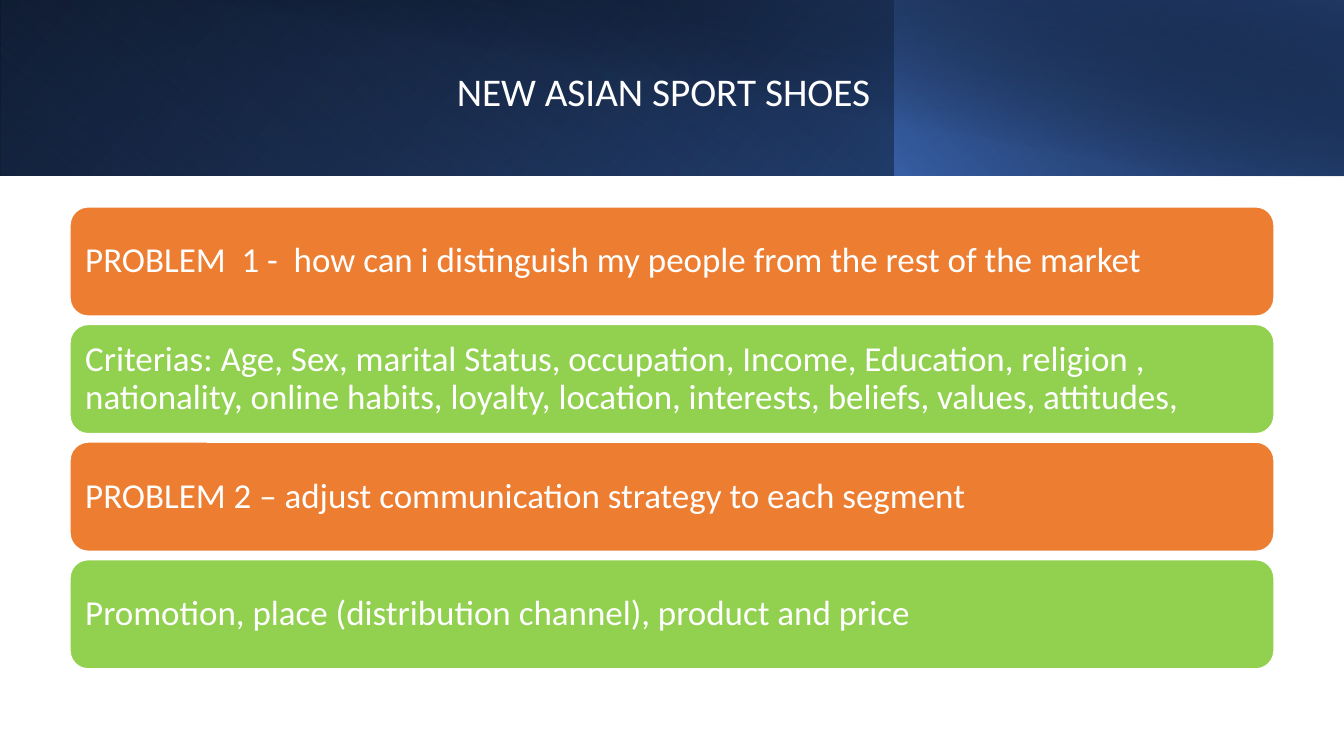
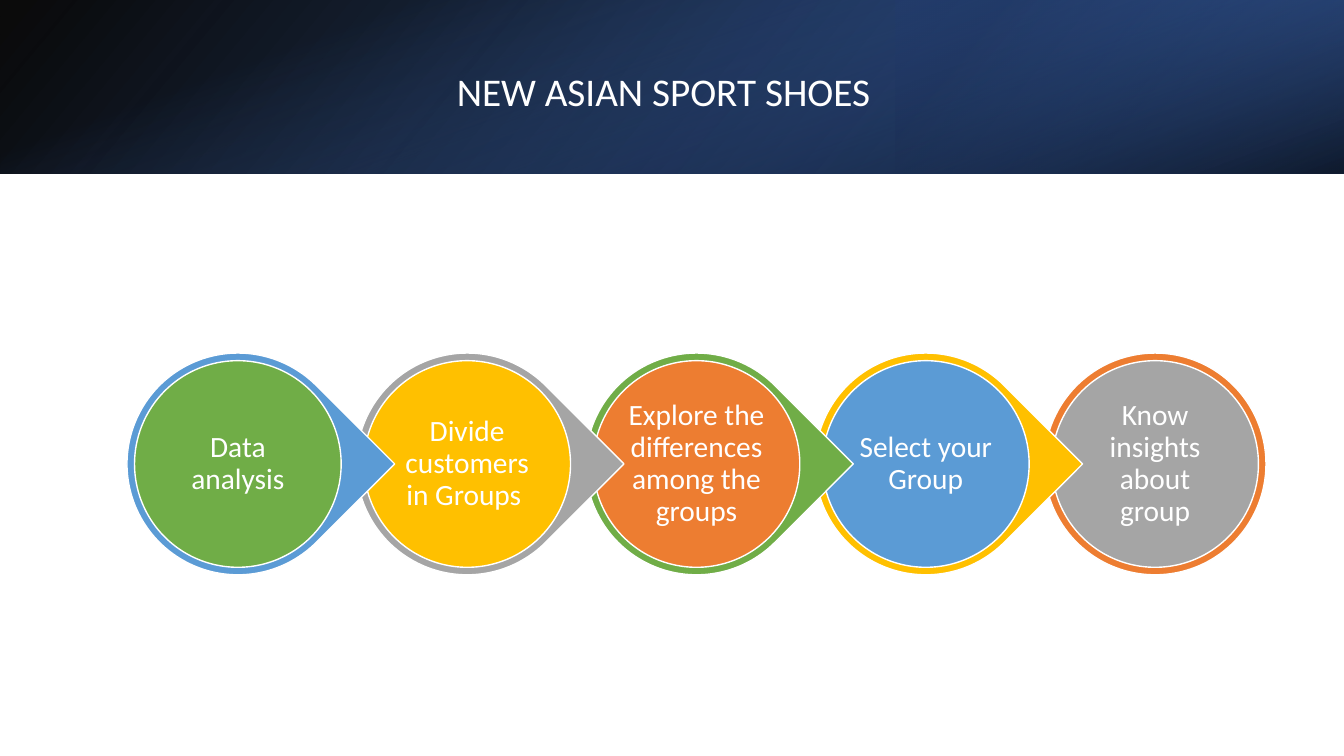
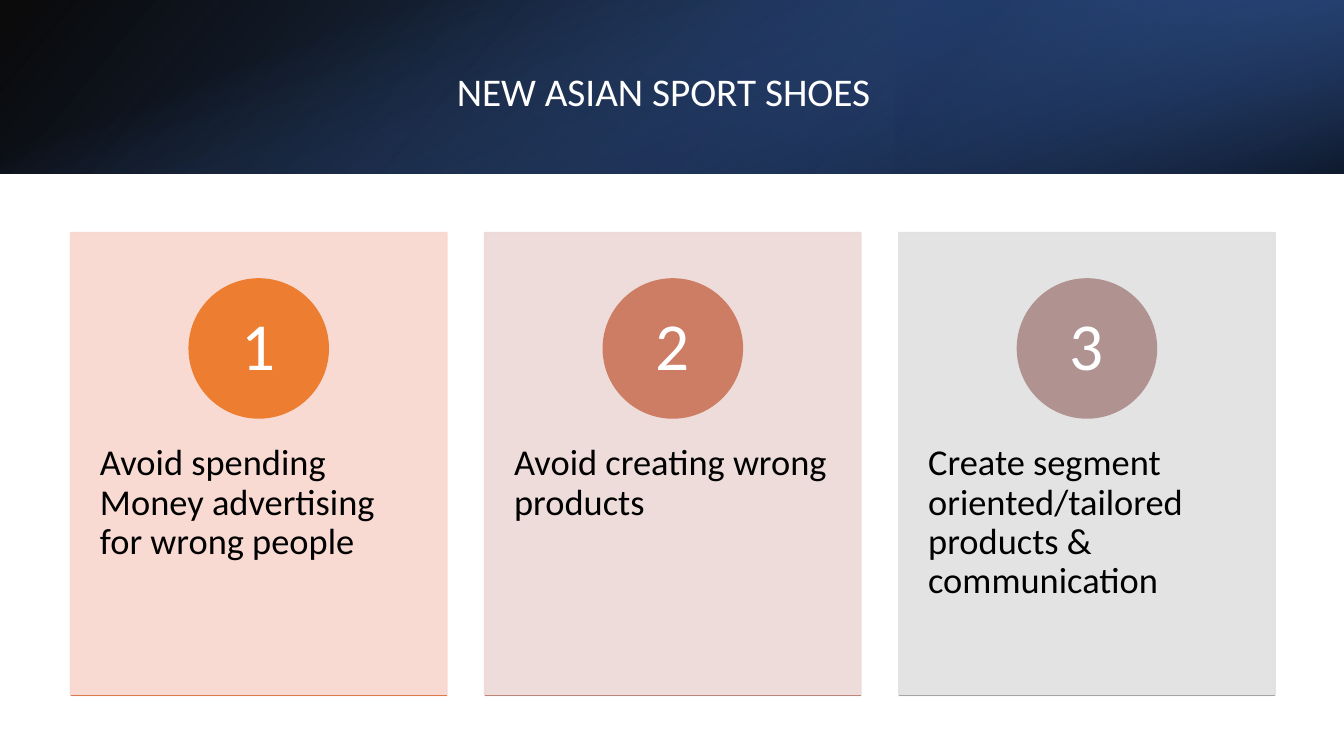
from pptx import Presentation
from pptx.dml.color import RGBColor
from pptx.enum.shapes import MSO_CONNECTOR as Connector, MSO_SHAPE as Shape
from pptx.enum.text import MSO_ANCHOR as Anchor, MSO_AUTO_SIZE as AutoSize, PP_ALIGN as Align
from pptx.oxml.ns import qn
from pptx.oxml.xmlchemy import OxmlElement
from pptx.util import Pt

FONT = "Calibri"
TITLE = "NEW ASIAN SPORT SHOES "
COLORS = {
    "white": "FFFFFF", "black": "000000", "navy": "203864",
    "royal": "4472C4", "steel": "2F5597", "orange": "ED7D31",
    "lime": "92D050", "green": "70AD47", "gold": "FFC000",
    "sky": "5B9BD5", "gray": "A5A5A5", "peach": "F8D7CE",
    "rose": "EDD9D7", "silver": "E1E1E1", "clay": "CC7D64",
    "taupe": "B09391", "rust": "DC7A4B", "brick": "BD867B",
}

# fmt: each band is box, rotation, flipped, angle, (position, color, opacity) stops
PROBLEM_BANDS = [
    ((0, 0, 960, 125.28), 0, True, 140, [(0, "black", 100), (100, "steel", 100)]),
    ((0, 0, 639.36, 125.28), 180, True, 230, [(20, "royal", 0), (100, "navy", 55)]),
    ((638.64, 0, 321.36, 125.28), 0, True, 220, [(0, "royal", 66), (100, "black", 30)]),
    ((36, 0, 924, 126), 0, False, 280, [(50, "black", 0), (99, "navy", 52)]),
]
STEP_BANDS = [
    ((0, 0, 960, 124), 0, True, 140, [(0, "black", 96), (100, "steel", 100)]),
    ((640, 0, 320, 124), 180, True, 320, [(19, "navy", 68), (100, "royal", 79)]),
    ((418, -418, 124, 960), 90, False, 340, [(23, "royal", 0), (99, "black", 74)]),
]
PROBLEMS = [
    ("PROBLEM  1 -  how can i distinguish my people from the rest of the market", "orange"),
    ("Criterias: Age, Sex, marital Status, occupation, Income, Education, religion , "
     "nationality, online habits, loyalty, location, interests, beliefs, values, attitudes, ", "lime"),
    ("PROBLEM 2 – adjust communication strategy to each segment ", "orange"),
    ("Promotion, place (distribution channel), product and price", "lime"),
]
STEPS = [
    ("Data analysis", "sky", "green"),
    ("Divide customers in Groups ", "gray", "gold"),
    ("Explore the differences among the groups", "green", "orange"),
    ("Select your Group", "gold", "sky"),
    ("Know insights about group", "orange", "gray"),
]
BENEFITS = [
    ("Avoid spending Money advertising for wrong people ", "peach", "orange", "rust"),
    ("Avoid creating wrong products ", "rose", "clay", "brick"),
    ("Create segment oriented/tailored products & communication ", "silver", "taupe", "gray"),
]


def rgb(name):
    return RGBColor.from_string(COLORS[name])


def set_opacity(shape, percents):
    for color, percent in zip(shape._element.spPr.iter(qn("a:srgbClr")), percents):
        alpha = OxmlElement("a:alpha")
        alpha.set("val", str(percent * 1000))
        color.append(alpha)


def write_text(shape, text, size, color="white", align=Align.LEFT, anchor=Anchor.MIDDLE,
               margins=(7.2, 7.2, 7.2, 7.2), spacing=0.9):
    frame = shape.text_frame
    frame.word_wrap = True
    frame.vertical_anchor = anchor
    frame.margin_left, frame.margin_top, frame.margin_right, frame.margin_bottom = map(Pt, margins)
    paragraph = frame.paragraphs[0]
    paragraph.alignment = align
    paragraph.line_spacing = spacing
    run = paragraph.add_run()
    run.text = text
    run.font.name = FONT
    run.font.size = Pt(size)
    run.font.color.rgb = rgb(color)


def add_block(slide, kind, box, fill, line="white", opacity=100):
    block = slide.shapes.add_shape(kind, *map(Pt, box))
    block.shadow.inherit = False
    block.fill.solid()
    block.fill.fore_color.rgb = rgb(fill)
    block.line.color.rgb = rgb(line)
    block.line.width = Pt(1)
    if opacity < 100:
        set_opacity(block, [opacity, opacity])
    return block


def add_band(slide, box, rotation, flipped, angle, stops):
    band = slide.shapes.add_shape(Shape.RECTANGLE, *map(Pt, box))
    band.shadow.inherit = False
    band.line.fill.background()
    band.rotation = rotation
    if flipped:
        band._element.spPr.xfrm.set("flipH", "1")
    band.fill.gradient()
    band.fill.gradient_angle = 360 - angle
    for stop, (position, color, _) in zip(band.fill.gradient_stops, stops):
        stop.position = position / 100
        stop.color.rgb = rgb(color)
    set_opacity(band, [opacity for _, _, opacity in stops])


def add_rule(slide, left, top, width, color):
    rule = slide.shapes.add_connector(Connector.STRAIGHT, Pt(left), Pt(top), Pt(left + width), Pt(top))
    rule.line.color.rgb = rgb(color)
    rule.line.width = Pt(1)
    rule._element.spPr.append(OxmlElement("a:effectLst"))


def add_titled_slide(deck, bands):
    slide = deck.slides.add_slide(deck.slide_layouts[5])
    for band in bands:
        add_band(slide, *band)
    title = slide.shapes.title
    title.left, title.top, title.width, title.height = map(Pt, (43.9, 44.6, 866.2, 41.2))
    write_text(title, TITLE, 28, align=Align.CENTER, anchor=Anchor.TOP,
               margins=(7.2, 3.6, 7.2, 3.6), spacing=1.0)
    title.text_frame.auto_size = AutoSize.SHAPE_TO_FIT_TEXT
    slide.shapes._spTree.append(title._element)
    return slide


def add_problems(slide):
    for index, (text, color) in enumerate(PROBLEMS):
        bar = add_block(slide, Shape.ROUNDED_RECTANGLE, (50, 147.8 + 84 * index, 860, 78), color)
        write_text(bar, text, 25)


def add_steps(slide):
    outer, ring, pitch, top = 158.4, 5.4, 163.8, 252.2
    inner = outer - 2 * ring
    last = len(STEPS) - 1
    for index, (text, rim, core) in reversed(list(enumerate(STEPS))):
        left = 90.7 + pitch * index
        kind = Shape.OVAL if index == last else Shape.TEAR
        pointer = add_block(slide, kind, (left, top, outer, outer), rim)
        pointer.rotation = 0 if index == last else 45
        step = add_block(slide, Shape.OVAL, (left + ring, top + ring, inner, inner), core)
        write_text(step, text, 21, align=Align.CENTER, margins=(2, 2, 2, 2))


def add_benefits(slide):
    top, width, height, badge_size = 166.2, 268.8, 330.6, 99.4
    for index, (text, tint, accent, edge) in enumerate(BENEFITS):
        left = 50.4 + 295.8 * index
        card = add_block(slide, Shape.RECTANGLE, (left, top, width, height), tint, tint, opacity=90)
        write_text(card, text, 26, color="black", anchor=Anchor.TOP, margins=(21, 151.2, 21, 26))
        badge_left = left + (width - badge_size) / 2
        badge = add_block(slide, Shape.OVAL, (badge_left, 199.2, badge_size, badge_size), accent, accent)
        write_text(badge, str(index + 1), 48, align=Align.CENTER, margins=(8, 1, 8, 1))
        add_rule(slide, left, top + height, width, edge)


def main():
    deck = Presentation()
    deck.slide_width, deck.slide_height = Pt(960), Pt(540)
    add_problems(add_titled_slide(deck, PROBLEM_BANDS))
    add_steps(add_titled_slide(deck, STEP_BANDS))
    add_benefits(add_titled_slide(deck, STEP_BANDS))
    deck.save("out.pptx")


main()
